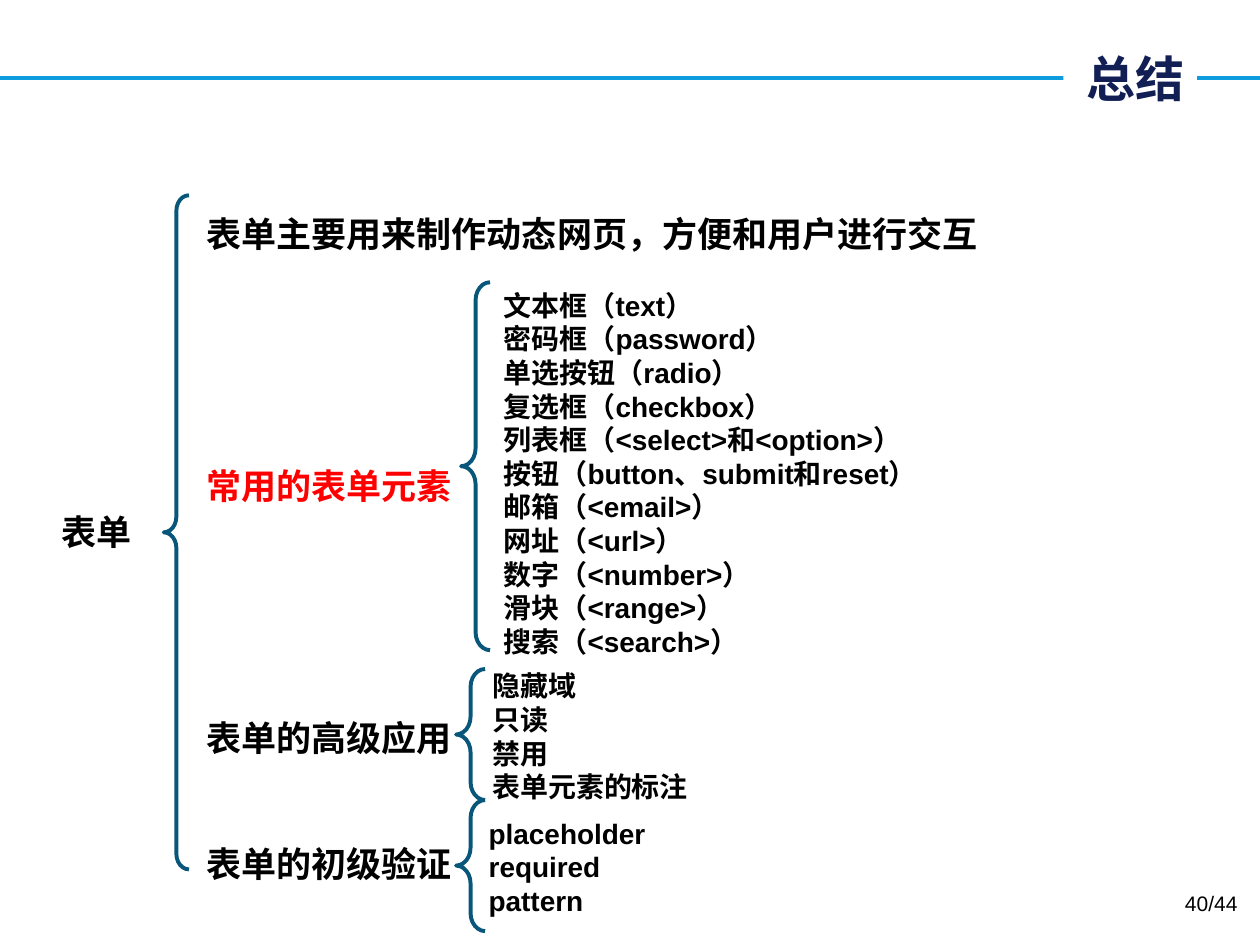
from dataclasses import dataclass

from lxml.etree import SubElement
from pptx import Presentation
from pptx.dml.color import RGBColor
from pptx.enum.lang import MSO_LANGUAGE_ID
from pptx.enum.shapes import MSO_CONNECTOR, MSO_SHAPE
from pptx.enum.text import MSO_ANCHOR, PP_ALIGN
from pptx.oxml.ns import qn
from pptx.util import Pt

EMU_PER_PX = 9144  # 100 px to the inch


@dataclass(frozen=True)
class Theme:
    background: str = "FFFFFF"
    rule: str = "0E9CDE"
    title: str = "121F55"
    brace: str = "08577A"
    text: str = "000000"
    highlight: str = "FF0000"
    font: str = "Arial"
    title_font: str = "Noto Sans CJK SC"
    title_size: int = 28
    branch_size: int = 20
    item_size: int = 16
    page_size: int = 12
    line_width: float = 2.25
    line_pitch: float = 1.2


THEME = Theme()

# heading, heading top, colour, brace box, item text position, items
BRANCHES = [
    ("表单主要用来制作动态网页，方便和用户进行交互", 164, THEME.text, None, None, []),
    ("常用的表单元素", 364, THEME.highlight, (366, 224, 23, 292), (390, 224), [
        "文本框（text）", "密码框（password）", "单选按钮（radio）",
        "复选框（checkbox）", "列表框（<select>和<option>）",
        "按钮（button、submit和reset）", "邮箱（<email>）", "网址（<url>）",
        "数字（<number>）", "滑块（<range>）", "搜索（<search>）",
    ]),
    ("表单的高级应用", 564, THEME.text, (362, 531, 23, 104), (381, 526),
     ["隐藏域", "只读", "禁用", "表单元素的标注"]),
    ("表单的初级验证", 664, THEME.text, (362, 635, 23, 104), (378, 643),
     ["placeholder", "required", "pattern"]),
]


def px(*lengths):
    return [length * EMU_PER_PX for length in lengths]


def write_lines(shape, lines, size, color=THEME.text, font=THEME.font,
                bold=True, align=PP_ALIGN.LEFT):
    text_frame = shape.text_frame
    text_frame.word_wrap = True
    text_frame.text = "\n".join(lines)
    for paragraph in text_frame.paragraphs:
        paragraph.alignment = align
        paragraph.line_spacing = Pt(size * THEME.line_pitch)
        for run in paragraph.runs:
            run.font.size = Pt(size)
            run.font.bold = bold
            run.font.name = font
            run.font.language_id = MSO_LANGUAGE_ID.SIMPLIFIED_CHINESE
            run.font.color.rgb = RGBColor.from_string(color)
            SubElement(run.font._element, qn("a:ea"), typeface=font)


def add_text(slide, box, lines, size, **style):
    text_box = slide.shapes.add_textbox(*px(*box))
    write_lines(text_box, lines, size, **style)


def add_brace(slide, box):
    brace = slide.shapes.add_shape(MSO_SHAPE.LEFT_BRACE, *px(*box))
    brace.shadow.inherit = False
    brace.adjustments[0] = 0.62
    brace.fill.background()
    brace.line.color.rgb = RGBColor.from_string(THEME.brace)
    brace.line.width = Pt(THEME.line_width)


def add_header(slide, box, title):
    """Draw a rule across the box, broken by the title near its right end."""
    left, top, width, height = box
    middle = top + height // 2
    rule = slide.shapes.add_connector(
        MSO_CONNECTOR.STRAIGHT, *px(left, middle, left + width, middle))
    rule.line.color.rgb = RGBColor.from_string(THEME.rule)
    rule.line.width = Pt(THEME.line_width)
    SubElement(rule._element.spPr, qn("a:effectLst"))

    title_box = slide.shapes.add_shape(
        MSO_SHAPE.RECTANGLE, *px(left + width - 156, top, 106, height))
    title_box.shadow.inherit = False
    title_box.fill.solid()
    title_box.fill.fore_color.rgb = RGBColor.from_string(THEME.background)
    title_box.line.fill.background()
    title_box.text_frame.vertical_anchor = MSO_ANCHOR.MIDDLE
    write_lines(title_box, [title], THEME.title_size, color=THEME.title,
                font=THEME.title_font, align=PP_ALIGN.RIGHT)
    title_box.text_frame.paragraphs[0].line_spacing = 1.0


def add_root(slide, box, label):
    """Put the root label left of a brace that spans the box height."""
    left, top, width, height = box
    add_text(slide, (left, top + 245, 154, 44), [label], THEME.branch_size,
             align=PP_ALIGN.CENTER)
    add_brace(slide, (left + width - 20, top, 20, height))


def add_branch(slide, left, branch):
    heading, top, color, brace_box, items_at, items = branch
    add_text(slide, (left, top, 722, 44), [heading], THEME.branch_size, color=color)
    if items:
        add_brace(slide, brace_box)
        add_text(slide, (*items_at, 412, 10 + 27 * len(items)), items, THEME.item_size)


def main():
    presentation = Presentation()
    presentation.slide_width, presentation.slide_height = px(1000, 750)
    slide = presentation.slides.add_slide(presentation.slide_layouts[6])

    add_header(slide, (0, 30, 1000, 64), "总结")
    add_root(slide, (0, 155, 150, 535), "表单")
    for branch in BRANCHES:
        add_branch(slide, 154, branch)
    add_text(slide, (759, 702, 233, 40), ["40/44"], THEME.page_size,
             bold=False, align=PP_ALIGN.RIGHT)
    presentation.save("out.pptx")


if __name__ == "__main__":
    main()
